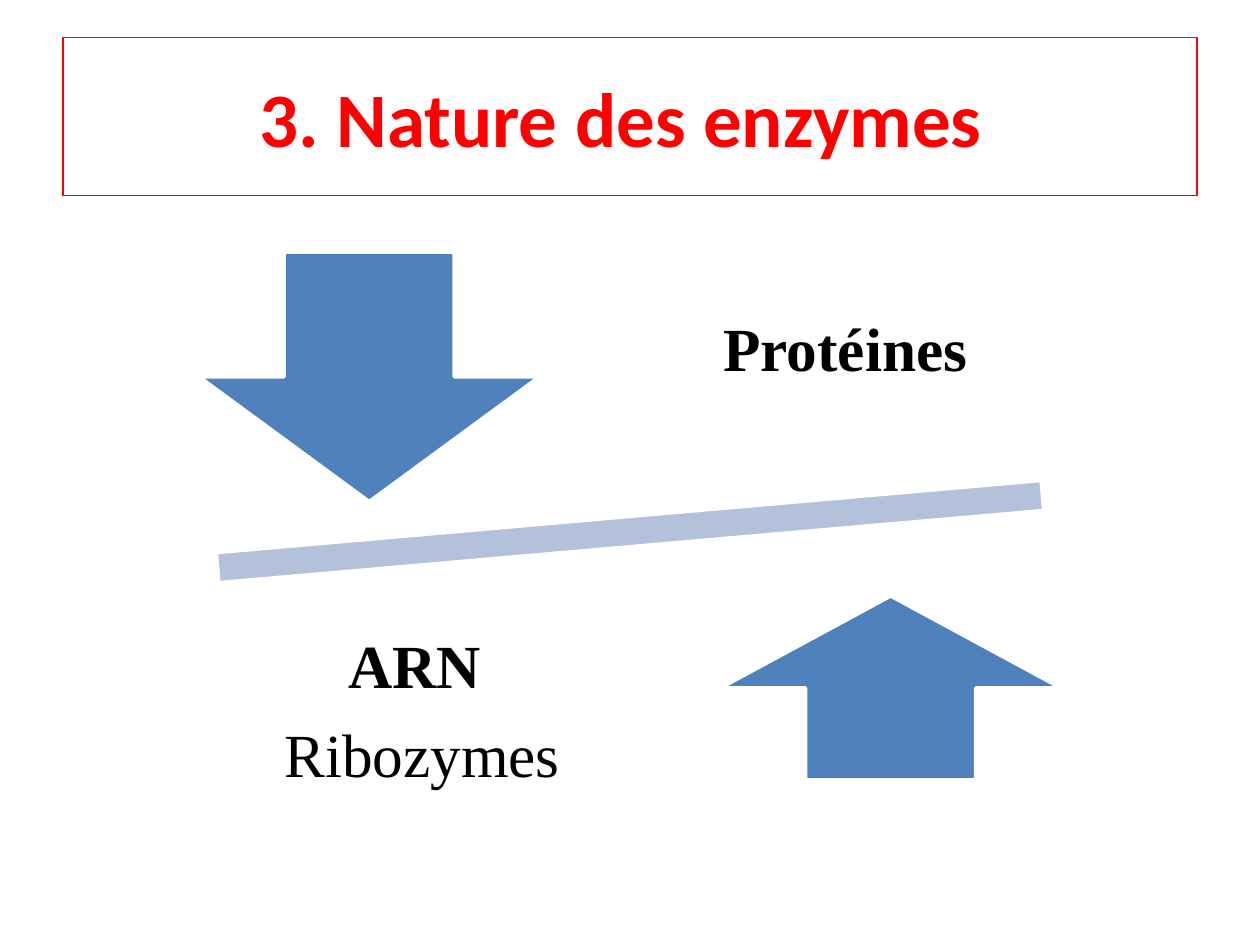
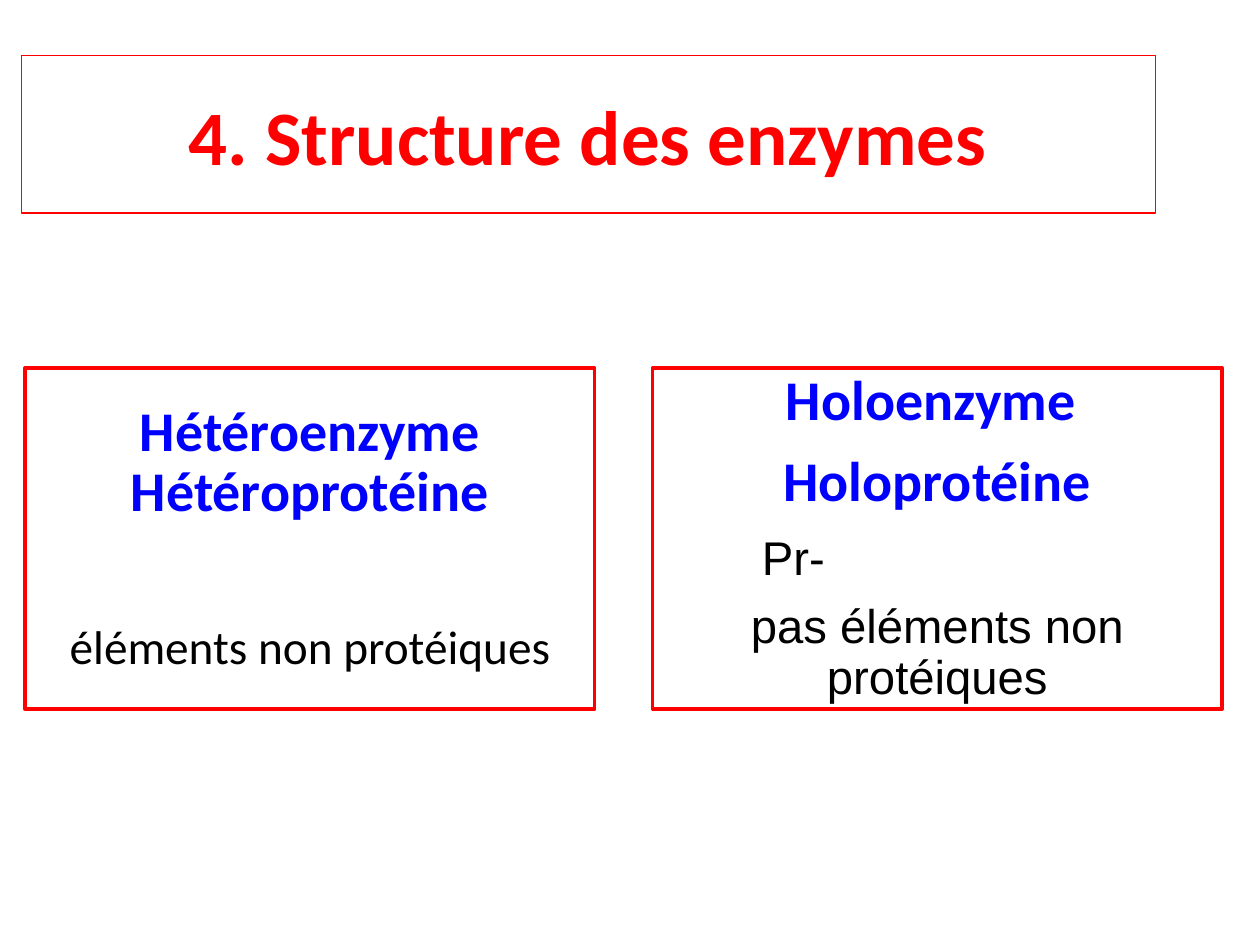
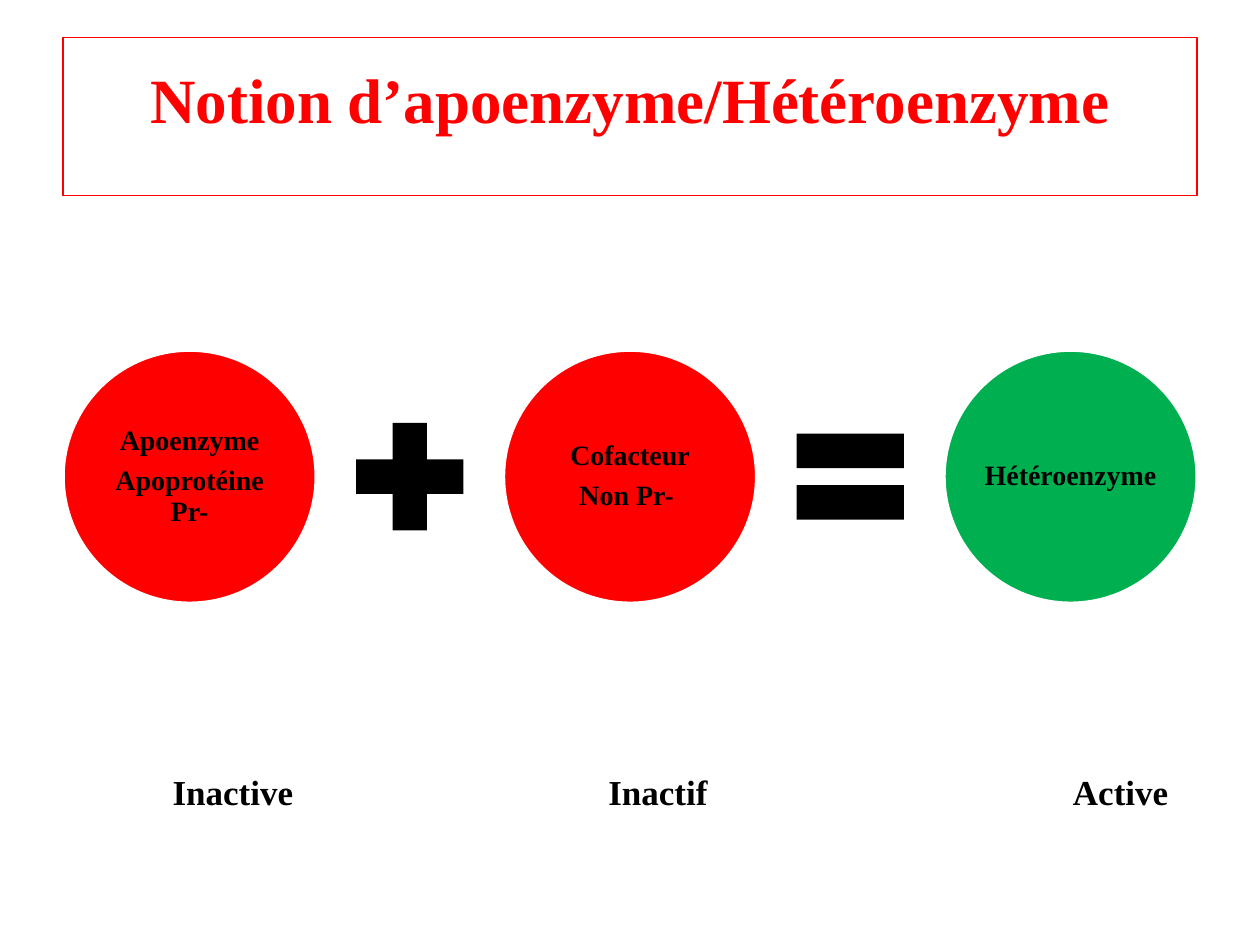
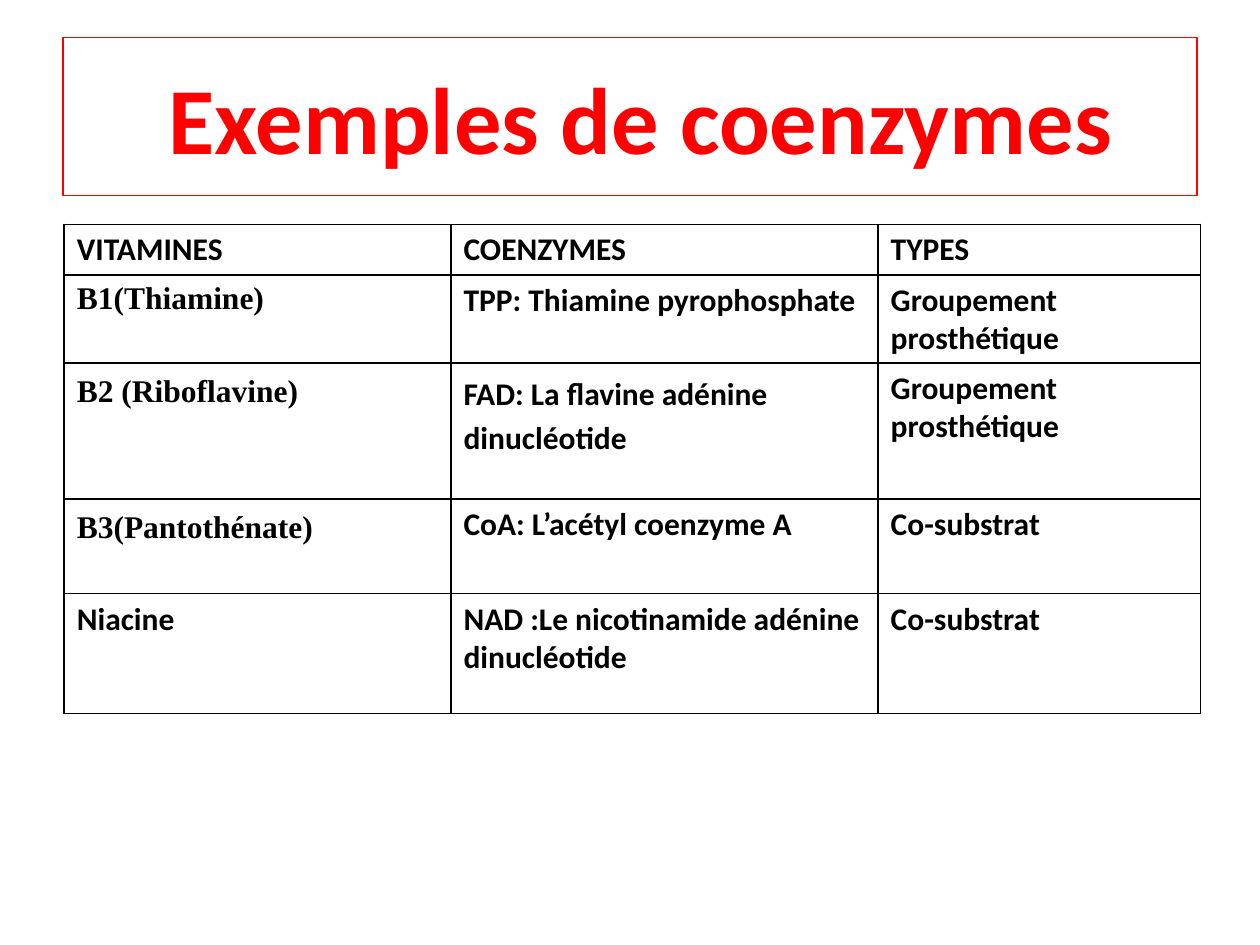
from dataclasses import dataclass, replace

from lxml.etree import SubElement
from pptx import Presentation
from pptx.dml.color import RGBColor
from pptx.enum.shapes import MSO_SHAPE as Shape
from pptx.enum.text import MSO_ANCHOR as Anchor, PP_ALIGN as Align
from pptx.oxml.ns import qn
from pptx.util import Pt


# Theme: colours, fonts, type sizes
@dataclass(frozen=True)
class Theme:
    red: str = "FF0000"
    blue: str = "0000FF"
    green: str = "00B050"
    steel: str = "4F81BD"
    pale: str = "B3C1DB"
    black: str = "000000"
    white: str = "FFFFFF"
    sans: str = "Calibri"
    serif: str = "Times New Roman"
    plain: str = "Arial"
    title: int = 44
    large_title: int = 54
    serif_title: int = 36
    label: int = 35
    heading: int = 32
    body: int = 27
    state: int = 20
    cell: int = 18
    circle: int = 16
    hairline: float = 0.75
    outline: float = 2
    leading: float = 0.9
    gap_ratio: float = 0.37


THEME = Theme()


@dataclass(frozen=True)
class Para:
    text: str
    size: int
    font: str = THEME.sans
    color: str = THEME.black
    bold: bool = True
    align: Align = Align.CENTER
    leading: float = None
    before: float = 0
    after: float = 0
    indent: float = 0
    tabs: tuple = ()


def diagram_para(text, size, **style):
    """A paragraph with the tight leading and gap used in the diagrams."""
    return Para(text, size, leading=THEME.leading,
                after=round(size * THEME.gap_ratio, 1), **style)


class Deck:
    TITLE_BOX = (36, 21.6, 648, 90)
    TITLE_INSETS = (7.2, 3.6, 7.2, 3.6)

    def __init__(self, theme):
        self.theme = theme
        self.prs = Presentation()
        self.prs.slide_width, self.prs.slide_height = Pt(720), Pt(540)
        self.slide = None

    def new_slide(self):
        self.slide = self.prs.slides.add_slide(self.prs.slide_layouts[6])

    def add_paras(self, frame, paras):
        for number, para in enumerate(paras):
            target = frame.add_paragraph() if number else frame.paragraphs[0]
            props = target._p.get_or_add_pPr()
            if para.indent:
                props.set("marL", str(Pt(para.indent)))
            if para.tabs:
                stops = SubElement(props, qn("a:tabLst"))
                for stop in para.tabs:
                    SubElement(stops, qn("a:tab"), pos=str(Pt(stop)), algn="l")
            target.alignment = para.align
            if para.leading:
                target.line_spacing = para.leading
            if para.before:
                target.space_before = Pt(para.before)
            target.space_after = Pt(para.after)
            run = target.add_run()
            run.text = para.text
            run.font.name, run.font.size = para.font, Pt(para.size)
            run.font.bold = para.bold
            run.font.color.rgb = RGBColor.from_string(para.color)

    def fill_frame(self, frame, paras, insets, anchor=Anchor.MIDDLE):
        frame.word_wrap = True
        frame.vertical_anchor = anchor
        (frame.margin_left, frame.margin_top,
         frame.margin_right, frame.margin_bottom) = map(Pt, insets)
        self.add_paras(frame, paras)

    def shape(self, kind, box, fill=None, line=None, width=THEME.outline,
              rotation=0):
        shape = self.slide.shapes.add_shape(kind, *map(Pt, box))
        shape.shadow.inherit = False
        shape.rotation = rotation
        if fill:
            shape.fill.solid()
            shape.fill.fore_color.rgb = RGBColor.from_string(fill)
        else:
            shape.fill.background()
        if line:
            shape.line.color.rgb = RGBColor.from_string(line)
            shape.line.width = Pt(width)
        else:
            shape.line.fill.background()
        return shape

    def panel(self, kind, box, paras, inset, fill, line):
        frame = self.shape(kind, box, fill, line).text_frame
        self.fill_frame(frame, paras, (inset,) * 4)

    def text(self, box, paras, insets):
        frame = self.slide.shapes.add_textbox(*map(Pt, box)).text_frame
        self.fill_frame(frame, paras, insets)

    def title(self, text, size=THEME.title, font=THEME.sans, box=TITLE_BOX,
              insets=TITLE_INSETS, anchor=Anchor.MIDDLE):
        banner = self.shape(Shape.RECTANGLE, box, line=self.theme.red,
                            width=self.theme.hairline)
        heading = Para(text, size, font, self.theme.red)
        self.fill_frame(banner.text_frame, [heading], insets, anchor)

    def table(self, origin, widths, heights, rows):
        size = (sum(widths), sum(heights))
        table = self.slide.shapes.add_table(
            len(rows), len(widths), *map(Pt, origin + size)).table
        table.first_row = table.horz_banding = False
        for column, width in zip(table.columns, widths):
            column.width = Pt(width)
        for row, height, paras in zip(table.rows, heights, rows):
            row.height = Pt(height)
            for cell, para in zip(row.cells, paras):
                self.add_paras(cell.text_frame, [para])
                self.border(cell)
                cell.fill.solid()
                cell.fill.fore_color.rgb = RGBColor.from_string(self.theme.white)

    def border(self, cell):
        props = cell._tc.get_or_add_tcPr()
        for side in ("lnL", "lnR", "lnT", "lnB"):
            line = SubElement(props, qn(f"a:{side}"), w=str(Pt(1)))
            fill = SubElement(line, qn("a:solidFill"))
            SubElement(fill, qn("a:srgbClr"), val=self.theme.black)


# Slide 1: proteins balanced against RNA
def nature_slide(deck):
    t = deck.theme
    deck.new_slide()
    deck.title("3. Nature des enzymes ")
    deck.shape(Shape.MATH_MINUS, (38.2, 267.1, 643.7, 73.4), t.pale, t.white,
               rotation=-5)
    deck.shape(Shape.DOWN_ARROW, (113.8, 144, 194.4, 142.6), t.steel, t.white)
    deck.shape(Shape.UP_ARROW, (411.8, 340.6, 194.4, 105.1), t.steel, t.white)
    proteins = [diagram_para("Protéines", t.label, font=t.serif)]
    rna = [diagram_para("ARN", t.label, font=t.serif),
           diagram_para(" Ribozymes", t.label, font=t.serif, bold=False)]
    for left, top, paras in ((379.4, 126, proteins), (133.2, 332.6, rna)):
        deck.text((left, top, 207.4, 149.8), paras, (19.4,) * 4)


# Slide 2: the two kinds of enzyme
def structure_slide(deck):
    t = deck.theme
    deck.new_slide()
    deck.title("4. Structure des enzymes", box=(12.2, 31.7, 648, 90))
    heading = dict(size=t.heading, color=t.blue)
    note = dict(size=t.body, bold=False)
    hetero = [
        diagram_para("Hétéroenzyme Hétéroprotéine", **heading),
        diagram_para("éléments non protéiques", before=45, **note),
    ]
    holo = [
        diagram_para("Holoenzyme ", **heading),
        diagram_para("Holoprotéine", **heading),
        diagram_para("Pr-", font=t.plain, align=Align.LEFT, indent=53, **note),
        diagram_para("pas éléments non protéiques", font=t.plain, **note),
    ]
    for column, paras in enumerate((hetero, holo)):
        deck.panel(Shape.RECTANGLE, (14.4 + 358.5 * column, 210.2, 325.4, 195.1),
                   paras, 9.4, t.white, t.red)


# Slide 3: apoenzyme + cofactor = heteroenzyme
def apoenzyme_slide(deck):
    t = deck.theme
    deck.new_slide()
    deck.title("Notion d’apoenzyme/Hétéroenzyme", t.serif_title, t.serif,
               insets=(7.2, 13, 7.2, 3.6), anchor=Anchor.TOP)
    left, middle, pitch, diameter, sign = 36, 272.4, 251.7, 144.7, 83.5
    terms = (
        (t.red, ("Apoenzyme", "Apoprotéine Pr-")),
        (t.red, ("Cofacteur", "Non Pr- ")),
        (t.green, ("Hétéroenzyme",)),
    )
    for index, (color, lines) in enumerate(terms):
        box = (left + index * pitch, middle - diameter / 2, diameter, diameter)
        paras = [diagram_para(line, t.circle, font=t.serif) for line in lines]
        deck.panel(Shape.OVAL, box, paras, 1.4, color, t.white)
    first_sign = left + (diameter + pitch - sign) / 2
    for index, kind in enumerate((Shape.MATH_PLUS, Shape.MATH_EQUAL)):
        deck.shape(kind, (first_sign + index * pitch, middle - sign / 2,
                          sign, sign), t.black)
    states = Para("Inactive\tInactif\tActive", t.state, t.serif,
                  align=Align.LEFT, tabs=(249, 514.5))
    deck.text((52.6, 388.1, 663.1, 105.8), [states], (46, 26.6, 7.2, 3.6))


# Slide 4: table of coenzymes
def coenzymes_slide(deck):
    t = deck.theme
    deck.new_slide()
    deck.title(" Exemples de coenzymes", t.large_title)
    sans = Para("", t.cell, align=Align.LEFT)
    serif = replace(sans, font=t.serif)
    loose_serif = replace(serif, align=Align.JUSTIFY, leading=1.15)
    loose_sans = replace(sans, leading=1.15, after=10)
    rows = (
        ("VITAMINES", "COENZYMES", "TYPES"),
        ("B1(Thiamine)", "TPP: Thiamine pyrophosphate",
         "Groupement prosthétique"),
        ("B2 (Riboflavine)", "FAD: La flavine adénine dinucléotide",
         "Groupement prosthétique"),
        ("B3(Pantothénate)", "CoA: L’acétyl coenzyme A", "Co-substrat"),
        ("Niacine", "NAD :Le nicotinamide adénine dinucléotide",
         "Co-substrat"),
    )
    special = {(1, 0): serif, (2, 0): loose_serif, (3, 0): loose_serif,
               (2, 1): loose_sans}
    paras = [[replace(special.get((r, c), sans), text=text)
              for c, text in enumerate(row)] for r, row in enumerate(rows)]
    deck.table((36.7, 128.2), (221, 244.1, 184.3),
               (27.4, 27.4, 77.8, 54, 68.4), paras)


def main():
    deck = Deck(THEME)
    for build in (nature_slide, structure_slide, apoenzyme_slide,
                  coenzymes_slide):
        build(deck)
    deck.prs.save("out.pptx")


if __name__ == "__main__":
    main()
